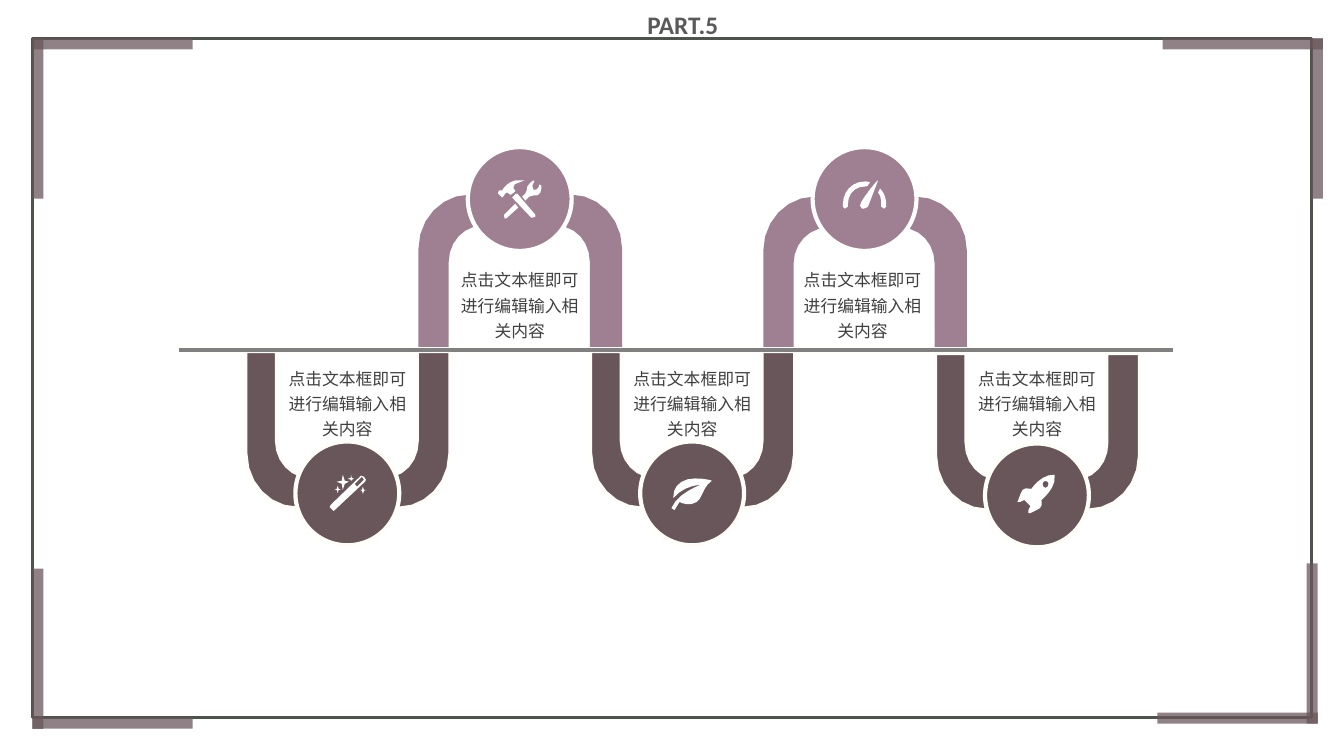
"""Build a one-slide deck with a winding five-station path inside a cornered frame."""
import math
import lxml.etree
import pptx
import pptx.dml.color
import pptx.enum.shapes
import pptx.enum.text
import pptx.oxml.ns
import pptx.util

RGB = pptx.dml.color.RGBColor
SHAPE = pptx.enum.shapes.MSO_SHAPE
ALIGN = pptx.enum.text.PP_ALIGN
DARK, MAUVE = RGB(0x69, 0x56, 0x5B), RGB(0x9F, 0x7F, 0x92)
FRAME, BAR = RGB(0x4C, 0x54, 0x4C), RGB(0x80, 0x80, 0x80)
WHITE, CREAM = RGB(0xFF, 0xFF, 0xFF), RGB(0xFF, 0xFE, 0xF9)
TITLE_GREY, TEXT_GREY = RGB(0x59, 0x59, 0x59), RGB(0x40, 0x40, 0x40)

TITLE = "PART.5"
CAPTION = "点击文本框即可进行编辑输入相关内容"

WAND = (
    "M 65,34 L 68,35 70,38 69,40 38,69 36,67 34,65 35,63 "
    "M 41,48 L 39,48 41,47 42,44 43,47 45,48 43,48 42,51 "
    "M 46,42 L 41,40 46,39 47,33 49,39 53,40 49,42 47,48 "
    "M 55,38 L 52,37 55,36 55,33 56,36 58,37 56,38 55,40 "
    "M 68,38 L 66,35 59,42 61,45 "
    "M 70,48 L 68,49 67,52 66,49 64,48 66,48 67,45 68,48")
TOOLS = (
    "M 37,46 C 38,44 40,45 42,47 L 43,47 47,44 47,43 C 45,42 41,36 56,33 "
    "L 47,33 C 44,33 41,36 39,37 L 36,40 34,43 31,43 30,45 30,46 33,49 34,50 36,48 "
    "M 49,46 L 48,46 45,49 44,50 63,70 64,70 67,69 67,67 "
    "M 73,38 L 71,37 70,40 C 69,42 67,43 65,42 63,40 64,39 64,38 L 66,34 65,33 "
    "C 64,34 60,36 59,39 58,41 60,43 57,46 L 54,49 57,53 61,49 "
    "C 62,48 64,47 65,48 69,49 70,47 72,45 73,43 73,39 73,38 "
    "M 36,67 L 36,69 37,71 39,70 50,60 47,56")
LEAF = (
    "M 41,40 C 33,45 33,52 33,56 44,43 60,43 60,43 60,43 37,51 31,66 30,68 33,69 34,68 "
    "L 39,60 C 43,62 50,64 56,60 62,56 62,45 71,39 73,39 52,33 41,40")
GAUGE = (
    "M 48,55 C 46,57 47,59 49,61 51,61 53,61 55,59 L 65,33 C 64,32 49,52 48,55 "
    "M 52,39 L 54,39 57,35 C 55,34 54,34 52,34 39,34 30,44 30,57 "
    "L 30,59 32,61 35,59 35,57 C 35,46 42,39 52,39 "
    "M 67,41 L 65,45 C 68,48 68,53 68,57 L 68,59 71,61 73,59 73,57 C 73,51 71,45 67,41")
ROCKET = (
    "M 56,56 C 56,56 71,44 69,32 L 69,31 C 56,30 46,45 46,45 36,43 37,46 33,56 "
    "L 32,58 35,58 39,56 45,62 43,66 43,69 45,69 C 55,64 57,65 56,56 "
    "M 58,43 L 57,40 58,38 60,37 62,38 63,40 62,43 60,44")
BAND = (
    "M 0,0 L 30,0 30,88 C 30,108 45,124 63,124 L 137,124 C 156,124 170,108 170,88 "
    "L 170,0 202,0 202,101 C 202,131 179,155 151,155 L 51,155 C 23,155 0,131 0,101")

STATIONS = [
    {"icon": WAND, "up": False, "band": 3.49, "disc": 4.38, "text_shift": 0.31},
    {"icon": TOOLS, "up": True, "band": 1.93, "disc": 1.46, "text_shift": 0.31},
    {"icon": LEAF, "up": False, "band": 3.49, "disc": 4.38, "text_shift": 0.31},
    {"icon": GAUGE, "up": True, "band": 1.95, "disc": 1.46, "text_shift": 0.29},
    {"icon": ROCKET, "up": False, "band": 3.51, "disc": 4.40, "text_shift": 0.31},
]
FIRST_LEFT, STEP = 2.44, 1.71
BAND_HEIGHT, DISC, DISC_SHIFT = 1.55, 1.03, 0.49
CORNERS = [(0.32, 0.38, 0, 0), (13.12, 0.38, 1, 0), (0.32, 7.23, 0, 1), (13.07, 7.18, 1, 1)]
ARM, THICK = 1.59, 0.11
CURVE_PIECE, MOST_PIECES = 5, 6


def inches(*values):
    return [pptx.util.Inches(value) for value in values]


def paint(shape, fill=None, line=None, width=1):
    shape.shadow.inherit = False
    if fill is None:
        shape.fill.background()
    else:
        shape.fill.solid()
        shape.fill.fore_color.rgb = fill
    if line is None:
        shape.line.fill.background()
    else:
        shape.line.color.rgb = line
        shape.line.width = pptx.util.Pt(width)
    return shape


def add_block(page, kind, box, **colours):
    return paint(page.shapes.add_shape(kind, *inches(*box)), **colours)


def write(shape, text, font, size, colour, bold=False, align=ALIGN.LEFT, spacing=1.0):
    frame = shape.text_frame
    frame.word_wrap = True
    frame.auto_size = pptx.enum.text.MSO_AUTO_SIZE.NONE
    frame.vertical_anchor = pptx.enum.text.MSO_ANCHOR.TOP
    para = frame.paragraphs[0]
    para.alignment, para.line_spacing = align, spacing
    span = para.add_run()
    span.text = text
    span.font.name, span.font.size, span.font.bold = font, pptx.util.Pt(size), bold
    span.font.color.rgb = colour
    east = lxml.etree.SubElement(span.font._element, pptx.oxml.ns.qn("a:ea"))
    east.set("typeface", font)


def bezier(start, first, second, end):
    pieces = min(MOST_PIECES, math.ceil(math.dist(start, end) / CURVE_PIECE))
    for piece in range(1, pieces + 1):
        t = piece / pieces
        weights = ((1 - t) ** 3, 3 * t * (1 - t) ** 2, 3 * t * t * (1 - t), t ** 3)
        corners = (start, first, second, end)
        yield tuple(sum(w * p[axis] for w, p in zip(weights, corners)) for axis in (0, 1))


def trace(outline):
    """Turn move, line and curve commands into lists of points."""
    contours, handles, mode = [], [], "M"
    for token in outline.split():
        if token in "MLC":
            mode = token
            continue
        point = tuple(int(part) for part in token.split(","))
        if mode == "M":
            contours.append([point])
        elif mode == "L":
            contours[-1].append(point)
        else:
            handles.append(point)
            if len(handles) == 3:
                contours[-1].extend(bezier(contours[-1][-1], *handles))
                handles = []
    return contours


def add_outline(page, outline, left, top, flip_height=None, **colours):
    builder = None
    for contour in trace(outline):
        points = [inches(left + x / 100,
                         top + (y / 100 if flip_height is None else flip_height - y / 100))
                  for x, y in contour]
        if builder is None:
            builder = page.shapes.build_freeform(*points[0], scale=1.0)
        else:
            builder.move_to(*points[0])
        builder.add_line_segments(points[1:], close=True)
    return paint(builder.convert_to_shape(), **colours)


def add_frame(page):
    add_block(page, SHAPE.RECTANGLE, (0.32, 0.38, 12.69, 6.74), line=FRAME, width=2.5)
    for x, y, right, bottom in CORNERS:
        for width, height in ((ARM, THICK), (THICK, ARM)):
            arm = add_block(page, SHAPE.RECTANGLE,
                            (x - right * width, y - bottom * height, width, height), fill=DARK)
            colour = arm.fill._xPr.find(".//" + pptx.oxml.ns.qn("a:srgbClr"))
            lxml.etree.SubElement(colour, pptx.oxml.ns.qn("a:alpha")).set("val", "74000")


def add_station(page, left, station):
    up = station["up"]
    colour = MAUVE if up else DARK
    add_outline(page, BAND, left, station["band"], flip_height=BAND_HEIGHT if up else None,
                fill=colour, line=None if up else CREAM, width=2)
    disc_left = left + DISC_SHIFT
    add_block(page, SHAPE.OVAL, (disc_left, station["disc"], DISC, DISC),
              fill=colour, line=WHITE if up else CREAM, width=3)
    add_outline(page, station["icon"], disc_left, station["disc"], fill=WHITE)
    caption = page.shapes.add_textbox(
        *inches(left + station["text_shift"], 2.58 if up else 3.56, 1.39, 0.86))
    write(caption, CAPTION, "Noto Sans CJK SC", 12, TEXT_GREY, align=ALIGN.CENTER, spacing=1.25)


def main():
    deck = pptx.Presentation()
    deck.slide_width, deck.slide_height = inches(13.33, 7.5)
    page = deck.slides.add_slide(deck.slide_layouts[5])
    title = page.shapes.title
    title.left, title.top, title.width, title.height = inches(6.32, 0.04, 2, 0.4)
    write(title, TITLE, "Calibri", 18, TITLE_GREY, bold=True)
    add_frame(page)
    for index, station in enumerate(STATIONS):
        add_station(page, FIRST_LEFT + index * STEP, station)
    add_block(page, SHAPE.RECTANGLE, (1.77, 3.45, 9.87, 0.05), fill=BAR, line=CREAM)
    deck.save("out.pptx")


if __name__ == "__main__":
    main()
